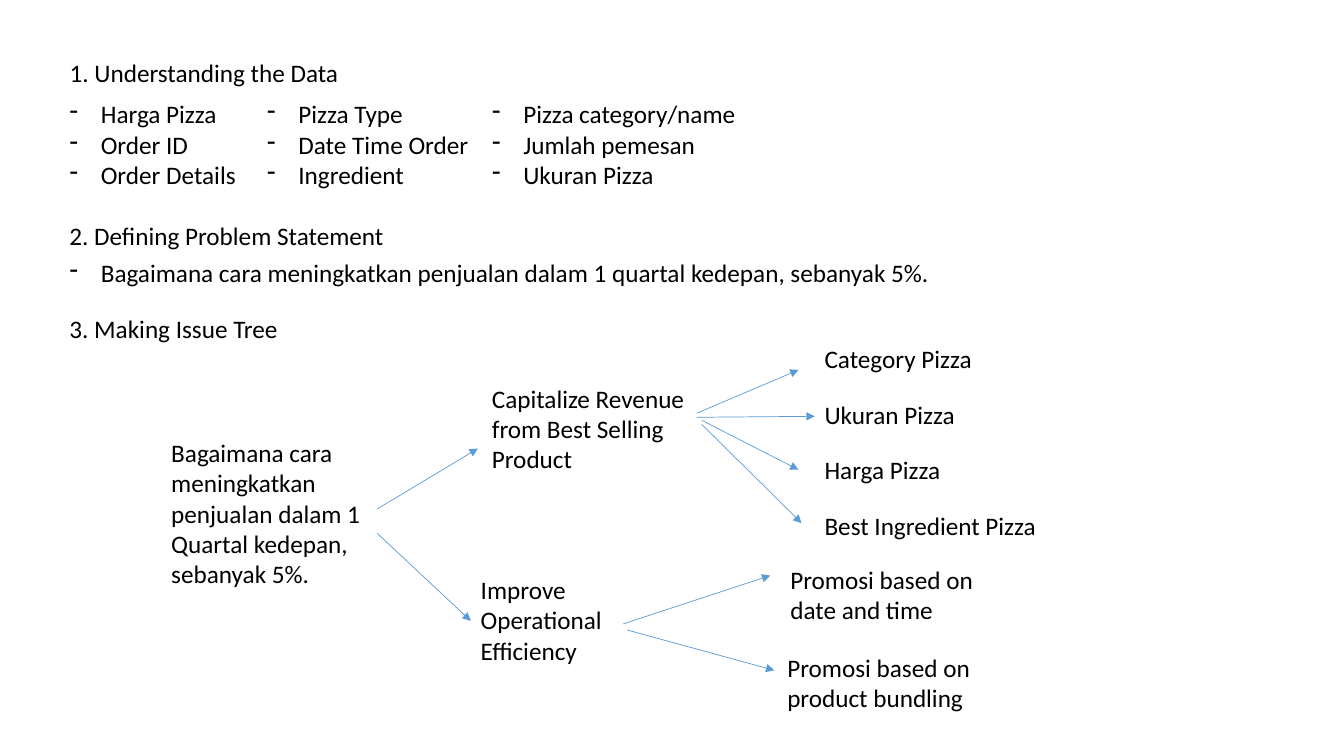
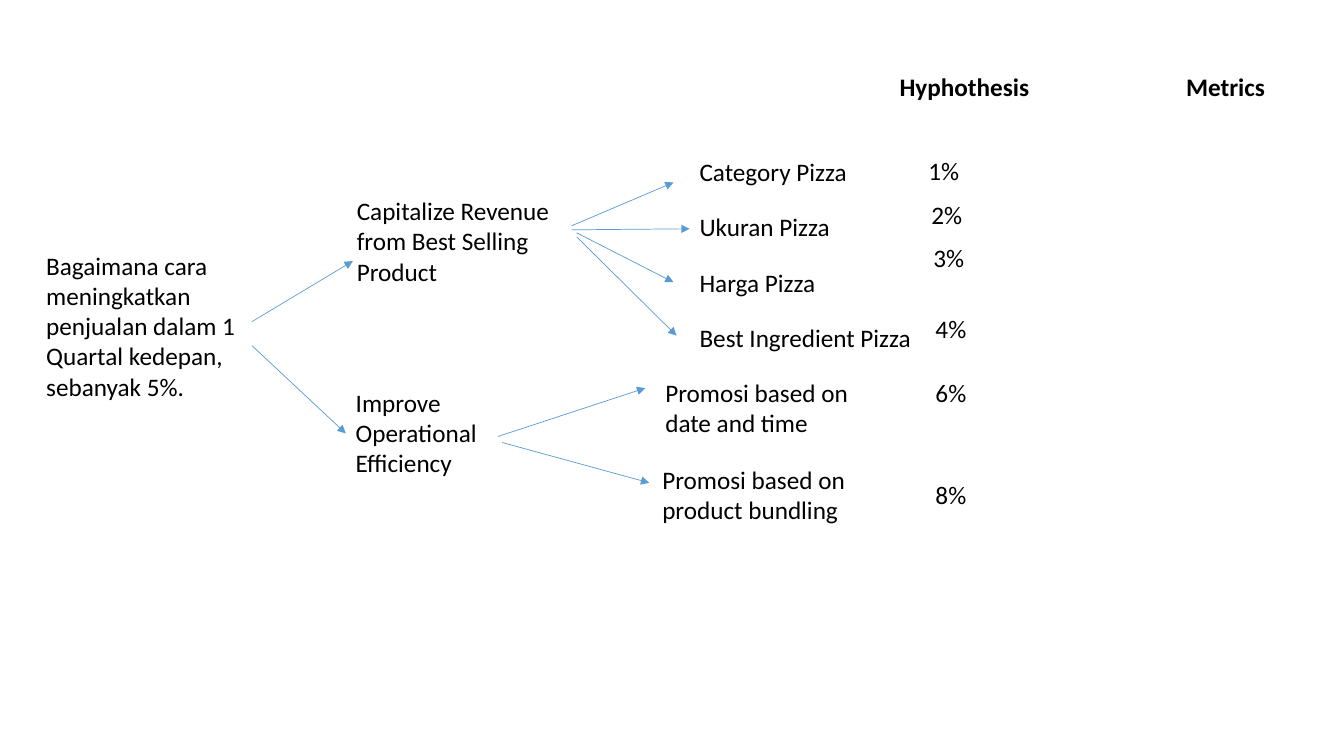
from dataclasses import dataclass

from lxml import etree
from pptx import Presentation
from pptx.dml.color import RGBColor
from pptx.enum.shapes import MSO_CONNECTOR
from pptx.enum.text import MSO_ANCHOR, MSO_AUTO_SIZE, PP_ALIGN
from pptx.oxml.ns import qn
from pptx.util import Inches, Pt

STRAIGHT = MSO_CONNECTOR.STRAIGHT
TOP = MSO_ANCHOR.TOP
FIXED = MSO_AUTO_SIZE.NONE
LEFT, CENTER = PP_ALIGN.LEFT, PP_ALIGN.CENTER
COMPARISON, TITLE_ONLY = 4, 5


@dataclass(frozen=True)
class Theme:
    font: str = "Calibri"
    size: int = 18
    text: RGBColor = RGBColor(0, 0, 0)
    arrow: RGBColor = RGBColor(0x5B, 0x9B, 0xD5)
    arrow_width: float = 0.5
    indent: float = 0.31


THEME = Theme()
FRAME = {
    "word_wrap": True, "auto_size": FIXED, "vertical_anchor": TOP,
    "margin_left": Inches(0.1), "margin_right": Inches(0.1),
    "margin_top": Inches(0.05), "margin_bottom": Inches(0.05),
}
SPACING = {"space_before": Pt(0), "space_after": Pt(0), "line_spacing": 1.0}
LINE = 0.3
MARGIN = 0.59

DATA_COLUMNS = (
    (MARGIN, 1.9, ("Harga Pizza", "Order ID", "Order Details")),
    (2.55, 2.23, ("Pizza Type", "Date Time Order", "Ingredient")),
    (4.78, 2.7, ("Pizza category/name", "Jumlah pemesan", "Ukuran Pizza")),
)
PROBLEM = ("Bagaimana cara meningkatkan penjualan dalam 1 quartal kedepan, "
           "sebanyak 5%.")
HYPOTHESES = (
    (9.11, 1.49, "1%"), (9.14, 1.93, "2%"), (9.16, 2.36, "3%"),
    (9.18, 3.06, "4%"), (9.18, 3.69, "6%"), (9.18, 4.71, "8%"),
)

# Tree positions are measured from the top left corner of its root text.
BOX_WIDTH = 2.29
LEAF_LEFT, LEAF_TOP, LEAF_STEP = 6.48, -0.93, 0.55
LEAVES = ("Category Pizza", "Ukuran Pizza", "Harga Pizza",
          "Best Ingredient Pizza")
BRANCHES = (
    (0, 0, BOX_WIDTH, 5, "Bagaimana cara meningkatkan penjualan dalam 1 "
                         "Quartal kedepan, sebanyak 5%."),
    (3.07, 1.36, 1.56, 3, "Improve Operational Efficiency"),
    (6.14, 1.26, BOX_WIDTH, 2, "Promosi based on date and time"),
    (6.11, 2.13, BOX_WIDTH, 2, "Promosi based on product bundling"),
)
ARROWS = (
    ((2.14, 0.76), (3.14, 0.16)),
    ((2.14, 1.0), (3.07, 1.87)),
    ((5.31, -0.19), (6.32, -0.62)),
    ((5.31, -0.15), (6.48, -0.16)),
    ((5.36, -0.12), (6.32, 0.37)),
    ((5.36, -0.08), (6.35, 0.9)),
    ((4.58, 1.9), (6.04, 1.42)),
    ((4.62, 1.96), (6.08, 2.36)),
)


def set_attributes(target, values):
    for name, value in values.items():
        setattr(target, name, value)


def add_dash(paragraph):
    properties = paragraph._p.get_or_add_pPr()
    indent = Inches(THEME.indent)
    properties.set("marL", str(indent))
    properties.set("indent", str(-indent))
    etree.SubElement(properties, qn("a:buFontTx"))
    etree.SubElement(properties, qn("a:buChar")).set("char", "-")


def write(shape, left, top, width, lines, rows=None, bold=False,
          alignment=LEFT, dashes=False):
    """Place a text shape, size it by its rows and fill in its paragraphs."""
    height = 0.1 + LINE * (rows or len(lines))
    box = zip(("left", "top", "width", "height"), (left, top, width, height))
    set_attributes(shape, {name: Inches(value) for name, value in box})
    frame = shape.text_frame
    frame.text = "\n".join(lines)
    set_attributes(frame, FRAME)
    for paragraph in frame.paragraphs:
        set_attributes(paragraph, {**SPACING, "alignment": alignment})
        set_attributes(paragraph.runs[0].font, {
            "name": THEME.font, "size": Pt(THEME.size), "bold": bold})
        paragraph.runs[0].font.color.rgb = THEME.text
        if dashes:
            add_dash(paragraph)


def add_text(slide, left, top, width, text, **style):
    shape = slide.shapes.add_textbox(0, 0, 0, 0)
    write(shape, left, top, width, (text,), **style)


def add_arrow(slide, start, end):
    points = [Inches(value) for value in (*start, *end)]
    connector = slide.shapes.add_connector(STRAIGHT, *points)
    connector.line.color.rgb = THEME.arrow
    connector.line.width = Pt(THEME.arrow_width)
    properties = connector.element.spPr
    line = properties.find(qn("a:ln"))
    etree.SubElement(line, qn("a:tailEnd")).set("type", "triangle")
    etree.SubElement(properties, qn("a:effectLst"))


def add_issue_tree(slide, left, top, revenue_left):
    for x, y, width, rows, text in BRANCHES:
        add_text(slide, left + x, top + y, width, text, rows=rows)
    add_text(slide, revenue_left, top - 0.54, BOX_WIDTH,
             "Capitalize Revenue from Best Selling Product", rows=3)
    for index, text in enumerate(LEAVES):
        add_text(slide, left + LEAF_LEFT, top + LEAF_TOP + index * LEAF_STEP,
                 2.5, text)
    for start, end in ARROWS:
        add_arrow(slide, *((left + x, top + y) for x, y in (start, end)))


def add_analysis_slide(presentation):
    slide = presentation.slides.add_slide(
        presentation.slide_layouts[COMPARISON])
    title, *bodies = slide.placeholders
    write(title, MARGIN, 0.52, 3.5, ("1. Understanding the Data",))
    for body, (left, width, lines) in zip(bodies, DATA_COLUMNS):
        write(body, left, 0.93, width, lines, dashes=True)
    add_text(slide, MARGIN, 2.14, 3.5, "2. Defining Problem Statement")
    write(bodies[-1], MARGIN, 2.5, 9, (PROBLEM,), dashes=True)
    add_text(slide, MARGIN, 3.06, 3.5, "3. Making Issue Tree")
    add_issue_tree(slide, 1.6, 4.29, revenue_left=4.78)


def add_hypothesis_slide(presentation):
    slide = presentation.slides.add_slide(
        presentation.slide_layouts[TITLE_ONLY])
    heading = {"bold": True, "alignment": CENTER}
    write(slide.shapes.title, 8.62, 0.66, 1.89, ("Hyphothesis",), **heading)
    add_text(slide, 11.21, 0.66, 1.89, "Metrics", **heading)
    add_issue_tree(slide, 0.36, 2.43, revenue_left=3.44)
    for left, top, text in HYPOTHESES:
        add_text(slide, left, top, 1.78, text)


def main():
    presentation = Presentation()
    presentation.slide_width = Inches(13.33)
    presentation.slide_height = Inches(7.5)
    add_analysis_slide(presentation)
    add_hypothesis_slide(presentation)
    presentation.save("out.pptx")


if __name__ == "__main__":
    main()
